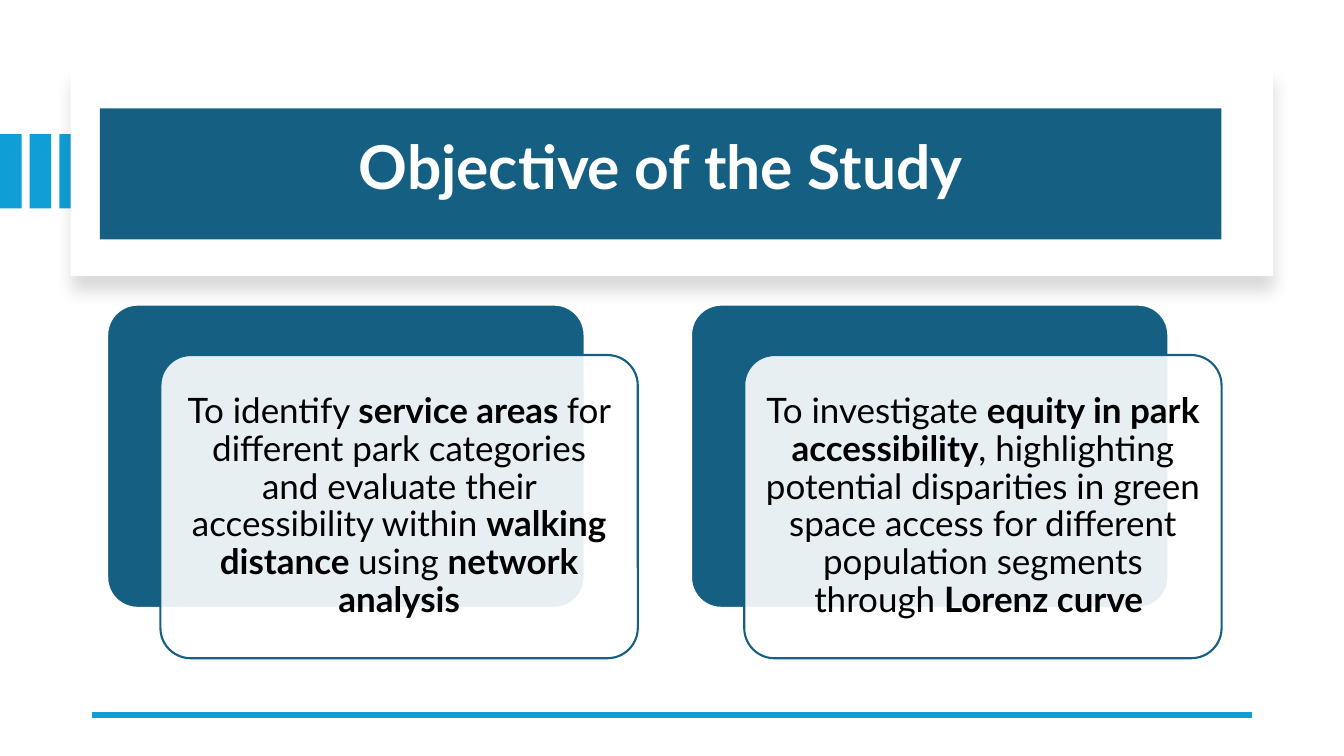
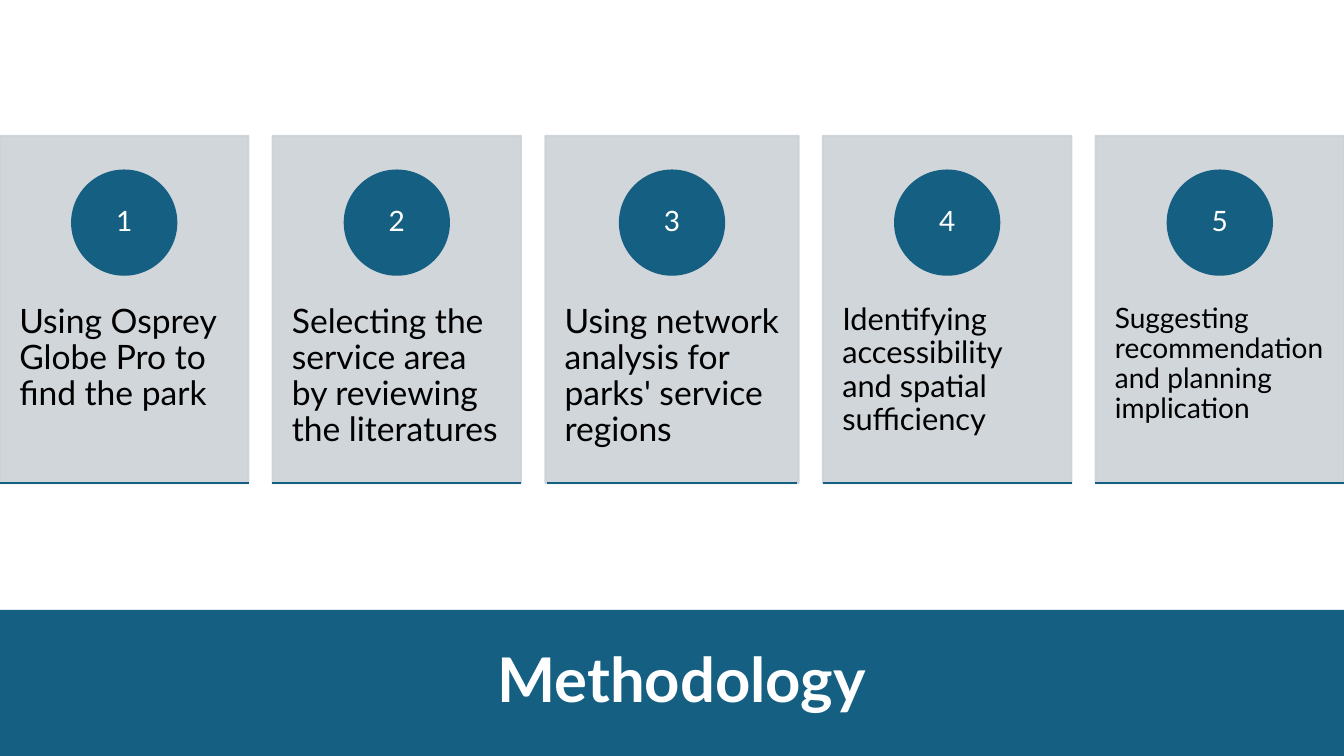
from dataclasses import dataclass
from typing import Any

from lxml.etree import SubElement
from pptx import Presentation
from pptx.dml.color import RGBColor
from pptx.enum.shapes import MSO_CONNECTOR, MSO_SHAPE
from pptx.enum.text import MSO_ANCHOR, MSO_AUTO_SIZE, PP_ALIGN
from pptx.oxml.ns import qn
from pptx.util import Pt

COLORS = {
    "navy": "156082",
    "sky": "0F9ED5",
    "grey": "CCD2D8",
    "white": "FFFFFF",
    "black": "000000",
}
FONT = "Lato"
SLIDE_WIDTH, SLIDE_HEIGHT = 960, 540
LINE_WIDTH = 1.5


@dataclass(frozen=True)
class Box:
    left: float
    top: float
    width: float
    height: float

    def lengths(self) -> list:
        return [Pt(value) for value in (self.left, self.top, self.width, self.height)]

    def shifted(self, right: float, down: float) -> "Box":
        return Box(self.left + right, self.top + down, self.width, self.height)


@dataclass(frozen=True)
class Span:
    text: str
    bold: bool = False


@dataclass(frozen=True)
class Step:
    text: str
    size: float
    width: float = 177.4


OBJECTIVES = [
    [
        Span("To identify "),
        Span("service areas ", True),
        Span("for different park categories and evaluate their accessibility within "),
        Span("walking distance ", True),
        Span("using "),
        Span("network analysis", True),
    ],
    [
        Span("To investigate "),
        Span("equity in park accessibility", True),
        Span(", highlighting potential disparities in green space access "
             "for different population segments through "),
        Span("Lorenz curve ", True),
    ],
]

STEPS = [
    Step("Using Osprey Globe Pro to find the park", 24),
    Step("Selecting the service area by reviewing the literatures", 24),
    Step("Using network analysis for parks' service regions", 24, 181),
    Step("Identifying accessibility and spatial sufficiency", 22),
    Step("Suggesting recommendation and planning implication", 20),
]


def rgb(name: str) -> RGBColor:
    return RGBColor.from_string(COLORS[name])


def set_all(target: Any, values: dict) -> None:
    for name, value in values.items():
        setattr(target, name, value)


def paint(fill: Any, color: str) -> None:
    fill.solid()
    fill.fore_color.rgb = rgb(color)


def make_translucent(shape: Any, percent: int) -> None:
    """Set the opacity of every solid colour of the shape, line included."""
    for color in shape.element.spPr.iter(qn("a:srgbClr")):
        SubElement(color, qn("a:alpha"), val=str(percent * 1000))


def add_block(page: Any, preset: Any, box: Box, fill: str, line: str = "") -> Any:
    shape = page.shapes.add_shape(preset, *box.lengths())
    shape.shadow.inherit = False
    paint(shape.fill, fill)
    if line:
        paint(shape.line.fill, line)
        shape.line.width = Pt(LINE_WIDTH)
    else:
        shape.line.fill.background()
    return shape


def add_rule(page: Any, left: float, right: float, y: float, color: str, width: float) -> None:
    rule = page.shapes.add_connector(
        MSO_CONNECTOR.STRAIGHT, Pt(left), Pt(y), Pt(right), Pt(y))
    paint(rule.line.fill, color)
    rule.line.width = Pt(width)
    SubElement(rule.element.spPr, qn("a:effectLst"))


def write(shape: Any, spans: list[Span], size: float, color: str,
          align: Any = PP_ALIGN.CENTER, anchor: Any = MSO_ANCHOR.MIDDLE,
          insets: tuple = (7.2, 3.6, 7.2, 3.6)) -> None:
    frame = shape.text_frame
    sides = ("margin_left", "margin_top", "margin_right", "margin_bottom")
    set_all(frame, dict(zip(sides, map(Pt, insets))))
    set_all(frame, {"word_wrap": True, "auto_size": MSO_AUTO_SIZE.NONE,
                    "vertical_anchor": anchor})
    para = frame.paragraphs[0]
    set_all(para, {"alignment": align, "line_spacing": 0.9, "space_before": Pt(0)})
    for span in spans:
        run = para.add_run()
        run.text = span.text
        set_all(run.font, {"name": FONT, "size": Pt(size), "bold": span.bold})
        run.font.color.rgb = rgb(color)


def add_title(page: Any, text: str, box: Box, size: float, bottom_inset: float = 3.6) -> None:
    """Format the title placeholder as a navy band in front of what is drawn so far."""
    title = page.shapes.title
    title.element.getparent().append(title.element)
    set_all(title, dict(zip(("left", "top", "width", "height"), box.lengths())))
    paint(title.fill, "navy")
    write(title, [Span(text, True)], size, "white", insets=(7.2, 3.6, 7.2, bottom_inset))


def add_title_frame(page: Any, box: Box) -> None:
    frame = add_block(page, MSO_SHAPE.RECTANGLE, box, "white")
    effects = frame.element.spPr.find(qn("a:effectLst"))
    shadow = SubElement(effects, qn("a:outerShdw"), blurRad=str(Pt(11)),
                        dist=str(Pt(10)), dir="5400000", algn="t", rotWithShape="0")
    color = SubElement(shadow, qn("a:srgbClr"), val=COLORS["black"])
    SubElement(color, qn("a:alpha"), val="15000")


def add_objective(page: Any, box: Box, spans: list[Span]) -> None:
    back = add_block(page, MSO_SHAPE.ROUNDED_RECTANGLE, box, "navy", "white")
    front = add_block(page, MSO_SHAPE.ROUNDED_RECTANGLE, box.shifted(38, 36), "white")
    make_translucent(front, 90)
    paint(front.line.fill, "navy")
    front.line.width = Pt(LINE_WIDTH)
    for card in (back, front):
        card.adjustments[0] = 0.1
    write(front, spans, 25, "black", insets=(8.4, 7.2, 8.4, 7.2))


def add_step(page: Any, number: int, step: Step, left: float) -> None:
    panel_box = Box(left, 97, step.width, 248)
    panel = add_block(page, MSO_SHAPE.RECTANGLE, panel_box, "grey", "grey")
    make_translucent(panel, 90)
    write(panel, [Span(step.text)], step.size, "black", PP_ALIGN.LEFT,
          MSO_ANCHOR.TOP, (13.8, 120.2, 13.8, 26))

    center, diameter, rule_width = left + step.width / 2, 74.4, 178
    badge = add_block(page, MSO_SHAPE.OVAL,
                      Box(center - diameter / 2, 121.8, diameter, diameter), "navy", "navy")
    write(badge, [Span(str(number))], 20, "white", insets=(5.8, 1, 5.8, 1))
    add_rule(page, center - rule_width / 2, center + rule_width / 2, 345, "navy", LINE_WIDTH)


def build_objectives(page: Any) -> None:
    # Stripes at the left edge
    for index in range(3):
        add_block(page, MSO_SHAPE.RECTANGLE, Box(index * 21.2, 95.8, 15.4, 53), "sky")

    # Framed title and footer rule
    add_title_frame(page, Box(50.4, 48.3, 859, 149))
    add_title(page, "Objective of the Study", Box(71.4, 77.5, 801, 93.6), 43.2, 9.6)
    add_rule(page, 66, 894, 510.5, "sky", 4.5)

    # Objective cards
    for index, spans in enumerate(OBJECTIVES):
        add_objective(page, Box(76.6 + index * 417, 217.6, 341, 216.6), spans)


def build_methodology(page: Any) -> None:
    add_title(page, "Methodology", Box(0, 435.6, 974, 104.4), 44)

    # Step panels with equal gaps across the whole width
    gap = (SLIDE_WIDTH - sum(step.width for step in STEPS)) / (len(STEPS) - 1)
    left = 0.0
    for number, step in enumerate(STEPS, start=1):
        add_step(page, number, step, left)
        left += step.width + gap


def main() -> None:
    deck = Presentation()
    set_all(deck, {"slide_width": Pt(SLIDE_WIDTH), "slide_height": Pt(SLIDE_HEIGHT)})
    title_only = deck.slide_layouts[5]
    for build in (build_objectives, build_methodology):
        build(deck.slides.add_slide(title_only))
    deck.save("out.pptx")


if __name__ == "__main__":
    main()
